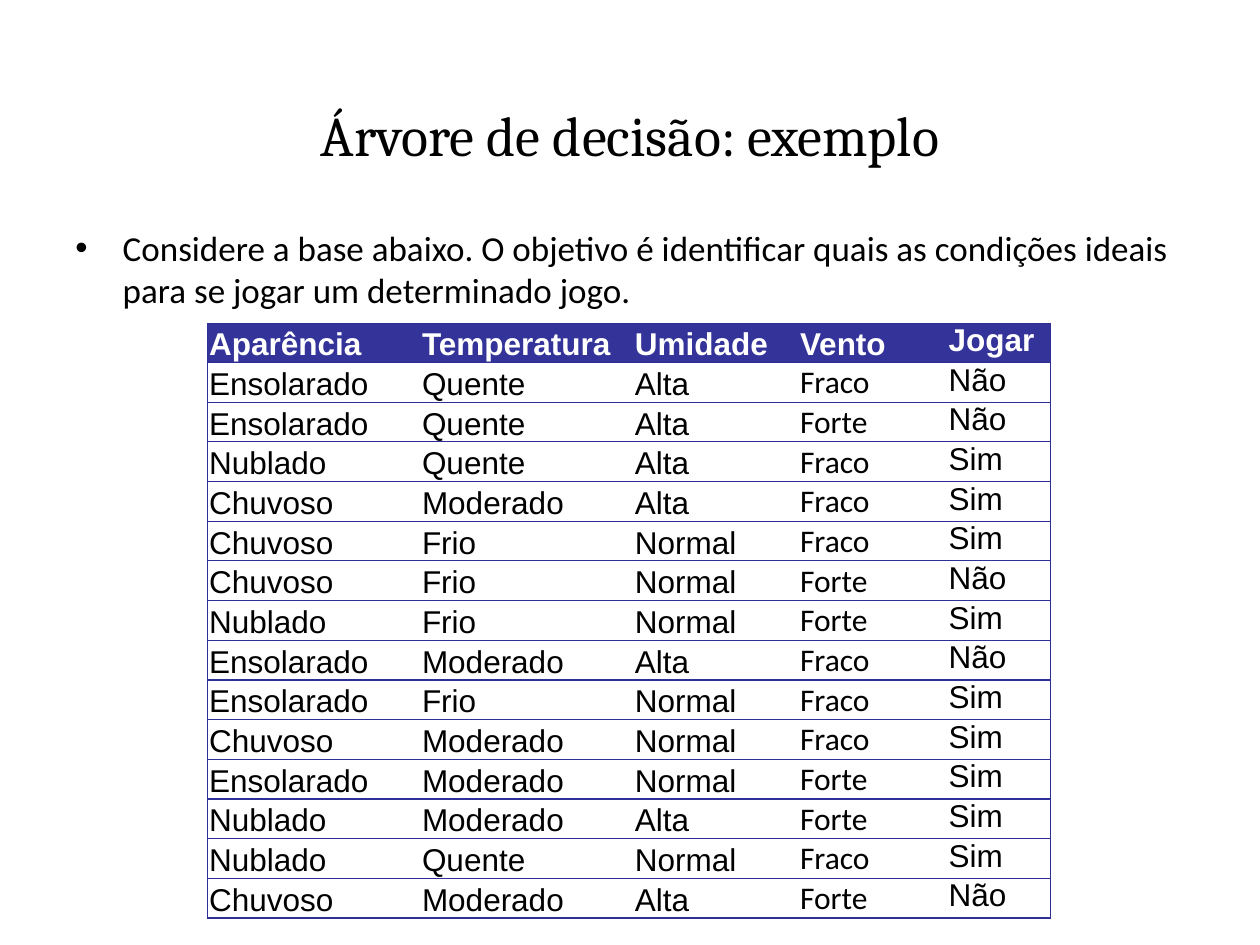
from pptx import Presentation
from pptx.dml.color import RGBColor
from pptx.enum.text import MSO_ANCHOR, MSO_AUTO_SIZE, PP_ALIGN
from pptx.oxml import parse_xml
from pptx.oxml.ns import nsdecls
from pptx.util import Pt

BLACK = RGBColor(0x00, 0x00, 0x00)
WHITE = RGBColor(0xFF, 0xFF, 0xFF)
NAVY = RGBColor(0x33, 0x33, 0x99)
RULE = RGBColor(0x2F, 0x2F, 0x98)
PLAIN = "{2D5ABB26-0587-4C30-8999-92F81FD0307C}"  # no style, no grid

HEAD = "Aparência Temperatura Umidade Vento Jogar".split()
DAYS = """Ensolarado Quente Alta Fraco Não
Ensolarado Quente Alta Forte Não
Nublado Quente Alta Fraco Sim
Chuvoso Moderado Alta Fraco Sim
Chuvoso Frio Normal Fraco Sim
Chuvoso Frio Normal Forte Não
Nublado Frio Normal Forte Sim
Ensolarado Moderado Alta Fraco Não
Ensolarado Frio Normal Fraco Sim
Chuvoso Moderado Normal Fraco Sim
Ensolarado Moderado Normal Forte Sim
Nublado Moderado Alta Forte Sim
Nublado Quente Normal Fraco Sim
Chuvoso Moderado Alta Forte Não"""
ROWS = [HEAD] + [line.split() for line in DAYS.splitlines()]
WIDTHS = [121.68, 121.68, 94.32, 85.68, 58.32]
HEIGHTS = [21.4] + [22.7] * (len(ROWS) - 1)
WIND = HEAD.index("Vento")
LAST = len(HEAD) - 1


class Page:
    """Holds the style and the current slide."""

    title_font = {"name": "Cambria", "size": Pt(32), "bold": False}
    body_font = {"name": "Calibri", "size": Pt(20), "bold": False}
    cell_font = {"name": "Arial", "size": Pt(18), "bold": False}

    def __init__(self, deck):
        self.slide = deck.slides.add_slide(deck.slide_layouts[5])

    def label(self, frame, text, font, color=BLACK):
        para = frame.paragraphs[0]
        run = para.add_run()
        run.text = text
        for key, value in font.items():
            setattr(run.font, key, value)
        run.font.color.rgb = color
        return para

    def title(self, text, x, y, w, h):
        shape = self.slide.shapes.title
        place = {"left": x, "top": y, "width": w, "height": h}
        for key, value in place.items():
            setattr(shape, key, Pt(value))
        frame = shape.text_frame
        frame.vertical_anchor = MSO_ANCHOR.TOP
        frame.auto_size = MSO_AUTO_SIZE.NONE
        self.label(frame, text, self.title_font).alignment = PP_ALIGN.CENTER

    def bullet(self, text, x, y, w, h, indent=27):
        box = self.slide.shapes.add_textbox(Pt(x), Pt(y), Pt(w), Pt(h))
        box.text_frame.word_wrap = True
        para = self.label(box.text_frame, text, self.body_font)
        para.space_before = Pt(4)
        props = para._p.get_or_add_pPr()
        props.set("marL", str(Pt(indent)))
        props.set("indent", str(-Pt(indent)))
        for tag in ('buFont typeface="Arial"', 'buChar char="•"'):
            name = tag.split()[0]
            props.append(parse_xml(
                tag.replace(name, f"<a:{name} {nsdecls('a')}") + "/>"))

    def border(self, cell, sides):
        for side in sides:
            cell._tc.get_or_add_tcPr().append(parse_xml(
                f'<a:ln{side} {nsdecls("a")} w="{Pt(0.75)}"><a:solidFill>'
                f'<a:srgbClr val="{RULE}"/></a:solidFill></a:ln{side}>'))

    def cell(self, cell, text, row, col):
        sides = ("L" if col == 0 else "") + ("R" if col == LAST else "")
        self.border(cell, sides + "TB")
        inset = 0 if col == LAST else 0.72
        form = {
            "margin_left": Pt(inset), "margin_right": Pt(inset),
            "margin_top": Pt(inset), "margin_bottom": 0,
            "vertical_anchor":
                MSO_ANCHOR.TOP if col == LAST else MSO_ANCHOR.BOTTOM,
        }
        for key, value in form.items():
            setattr(cell, key, value)
        font = dict(self.cell_font, bold=row == 0)
        if row == 0:
            cell.fill.solid()
            cell.fill.fore_color.rgb = NAVY
        else:
            cell.fill.background()
            if col == WIND:
                font["name"] = "Calibri"
        self.label(cell.text_frame, text, font, BLACK if row else WHITE)

    def table(self, rows, x, y, widths, heights):
        table = self.slide.shapes.add_table(
            len(rows), len(widths), Pt(x), Pt(y),
            Pt(sum(widths)), Pt(sum(heights))).table
        table.first_row = table.horz_banding = False
        table._tbl.tblPr[0].text = PLAIN
        for column, width in zip(table.columns, widths):
            column.width = Pt(width)
        for r, (words, height) in enumerate(zip(rows, heights)):
            table.rows[r].height = Pt(height)
            for c, word in enumerate(words):
                self.cell(table.cell(r, c), word, r, c)


def main():
    deck = Presentation()
    deck.slide_width, deck.slide_height = Pt(720), Pt(540)
    page = Page(deck)

    # Heading and task
    page.title("Árvore de decisão: exemplo", 27.36, 54, 665.28, 85.68)
    page.bullet("Considere a base abaixo. O objetivo é identificar quais as "
                "condições ideais para se jogar um determinado jogo.",
                36, 126, 663.84, 383.76)

    # Game records
    page.table(ROWS, 118.8, 184.8, WIDTHS, HEIGHTS)

    deck.save("out.pptx")


if __name__ == "__main__":
    main()
